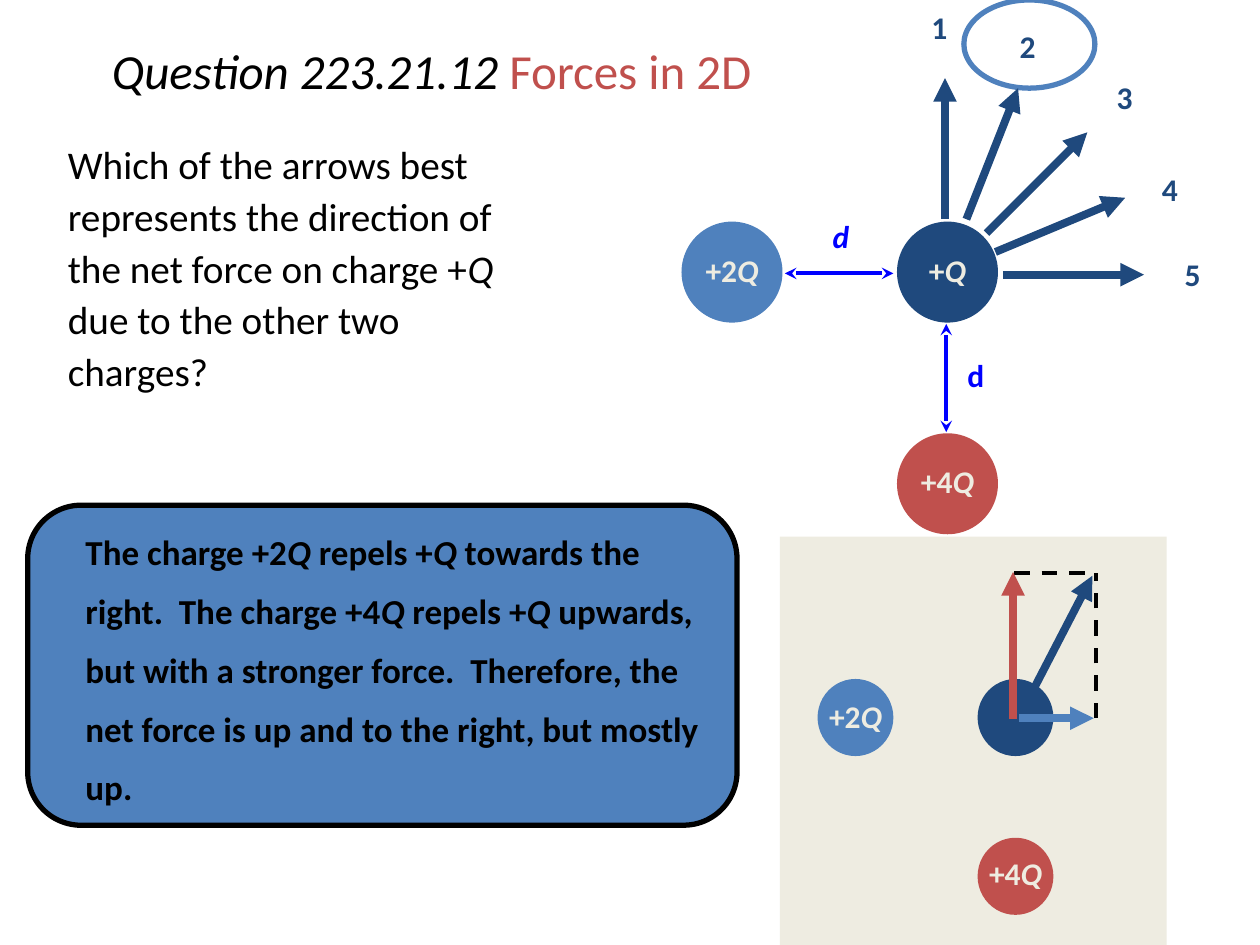
from lxml.etree import SubElement
from pptx import Presentation
from pptx.dml.color import RGBColor
from pptx.enum.dml import MSO_LINE
from pptx.enum.shapes import MSO_CONNECTOR, MSO_SHAPE
from pptx.enum.text import MSO_ANCHOR, PP_ALIGN
from pptx.oxml.ns import qn
from pptx.util import Pt

PX = 9144
NAVY = RGBColor(0x1F, 0x49, 0x7D)
BLUE = RGBColor(0x4F, 0x81, 0xBD)
RED = RGBColor(0xC0, 0x50, 0x4D)
CREAM = RGBColor(0xEE, 0xEC, 0xE1)
BRIGHT = RGBColor(0x00, 0x00, 0xFF)
BLACK = RGBColor(0x00, 0x00, 0x00)

deck = Presentation()
deck.slide_width, deck.slide_height = 1000 * PX, 750 * PX
page = deck.slides.add_slide(deck.slide_layouts[6])


def add_text(area, text, color, size=18, bold=True, spacing=0.9, indent=0,
             align=PP_ALIGN.CENTER, anchor=MSO_ANCHOR.MIDDLE, wrap=False):
    box = page.shapes.add_textbox(*(n * PX for n in area))
    frame = box.text_frame
    frame.word_wrap, frame.vertical_anchor = wrap, anchor
    para = frame.paragraphs[0]
    para.alignment, para.line_spacing = align, spacing
    para._p.get_or_add_pPr().set("marL", str(indent * PX))
    font = para.font
    font.name, font.size, font.bold = "Calibri", Pt(size), bold
    font.color.rgb = color
    for number, part in enumerate(text.split("*")):
        if part:
            span = para.add_run()
            span.text = part
            span.font.italic = number % 2 == 1
    return para


def add_line(ends, color, width=4.5, head=None, tail="triangle", dash=None):
    line = page.shapes.add_connector(MSO_CONNECTOR.STRAIGHT, *(n * PX for n in ends))
    line.line.color.rgb, line.line.width = color, Pt(width)
    if dash:
        line.line.dash_style = dash
    for tag, kind in (("a:headEnd", head), ("a:tailEnd", tail)):
        if kind:
            SubElement(line.line._get_or_add_ln(), qn(tag)).set("type", kind)
    SubElement(line._element.spPr, qn("a:effectLst"))


net_force = (811, 565, 867, 457)
shapes = [
    (MSO_SHAPE.RECTANGLE, (619, 426, 307, 324), CREAM, None),
    (MSO_SHAPE.OVAL, (765, 0, 104, 70), None, BLUE),
    (MSO_SHAPE.ROUNDED_RECTANGLE, (22, 401, 563, 254), BLUE, BLACK),
]
for left, top, color in ((543, 178, BLUE), (714, 346, RED), (714, 178, NAVY)):
    shapes.append((MSO_SHAPE.OVAL, (left, top, 76, 76), color, color))
for left, top, color in ((651, 541, BLUE), (778, 667, RED), (778, 541, NAVY)):
    shapes.append((MSO_SHAPE.OVAL, (left, top, 56, 57), color, color))

for kind, area, fill, outline in shapes:
    shape = page.shapes.add_shape(kind, *(n * PX for n in area))
    shape.shadow.inherit = False
    if fill:
        shape.fill.solid()
        shape.fill.fore_color.rgb = fill
    else:
        shape.fill.background()
    if outline:
        shape.line.color.rgb, shape.line.width = outline, Pt(3)
    else:
        shape.line.fill.background()
    if kind == MSO_SHAPE.RECTANGLE:
        add_line(net_force, NAVY)

for ends in ((750, 174, 750, 62), (767, 174, 808, 70), (783, 185, 863, 105),
             (790, 200, 893, 157), (796, 218, 908, 218)):
    add_line(ends, NAVY)
for ends in ((623, 217, 709, 217), (751, 343, 751, 257)):
    add_line(ends, BRIGHT, 2.25, head="stealth", tail="stealth")
for ends in ((805, 455, 866, 455), (870, 570, 870, 455)):
    add_line(ends, BLACK, 2.25, tail=None, dash=MSO_LINE.DASH)
add_line((804, 571, 804, 454), RED)
add_line((809, 570, 868, 570), BLUE)

for left, top, text in ((539, 193, "+2*Q*"), (710, 361, "+4*Q*"), (710, 193, "+*Q*"),
                        (637, 547, "+2*Q*"), (764, 672, "+4*Q*")):
    add_text((left, top, 84, 46), text, CREAM)
for number, (left, top) in enumerate(
        ((726, 0), (796, 15), (873, 56), (909, 129), (927, 196)), 1):
    add_text((left, top, 39, 46), str(number), NAVY)
for left, top, text in ((651, 171, "*d*"), (758, 281, "d")):
    add_text((left, top, 35, 37), text, BRIGHT, align=PP_ALIGN.LEFT, anchor=MSO_ANCHOR.TOP)

title = add_text((32, 0, 621, 106), "*Question 223.21.12 *Forces in 2D", BLACK,
                 28, False, 1.1, wrap=True)
title.runs[1].font.color.rgb = RED
add_text((0, 103, 412, 239),
         "Which of the arrows best represents the direction of the net force "
         "on charge +*Q* due to the other two charges?",
         BLACK, 22.4, False, 1.1, 44, PP_ALIGN.LEFT, MSO_ANCHOR.TOP, True)
add_text((27, 403, 549, 244),
         "The charge +2*Q* repels +*Q* towards the right.  The charge +4*Q* repels +*Q* "
         "upwards, but with a stronger force.  Therefore, the net force is up and to the "
         "right, but mostly up.",
         BLACK, 20, True, 1.4, 31, PP_ALIGN.LEFT, MSO_ANCHOR.TOP, True)

deck.save("out.pptx")
